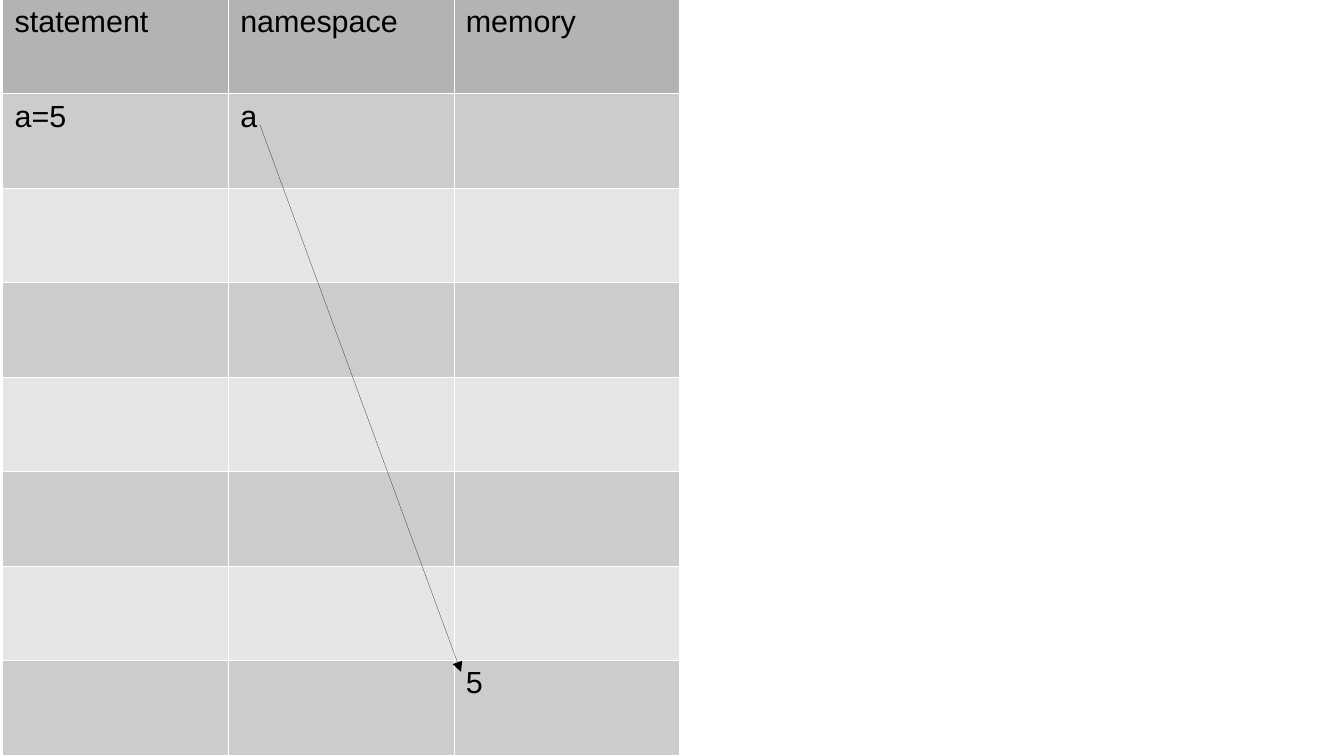
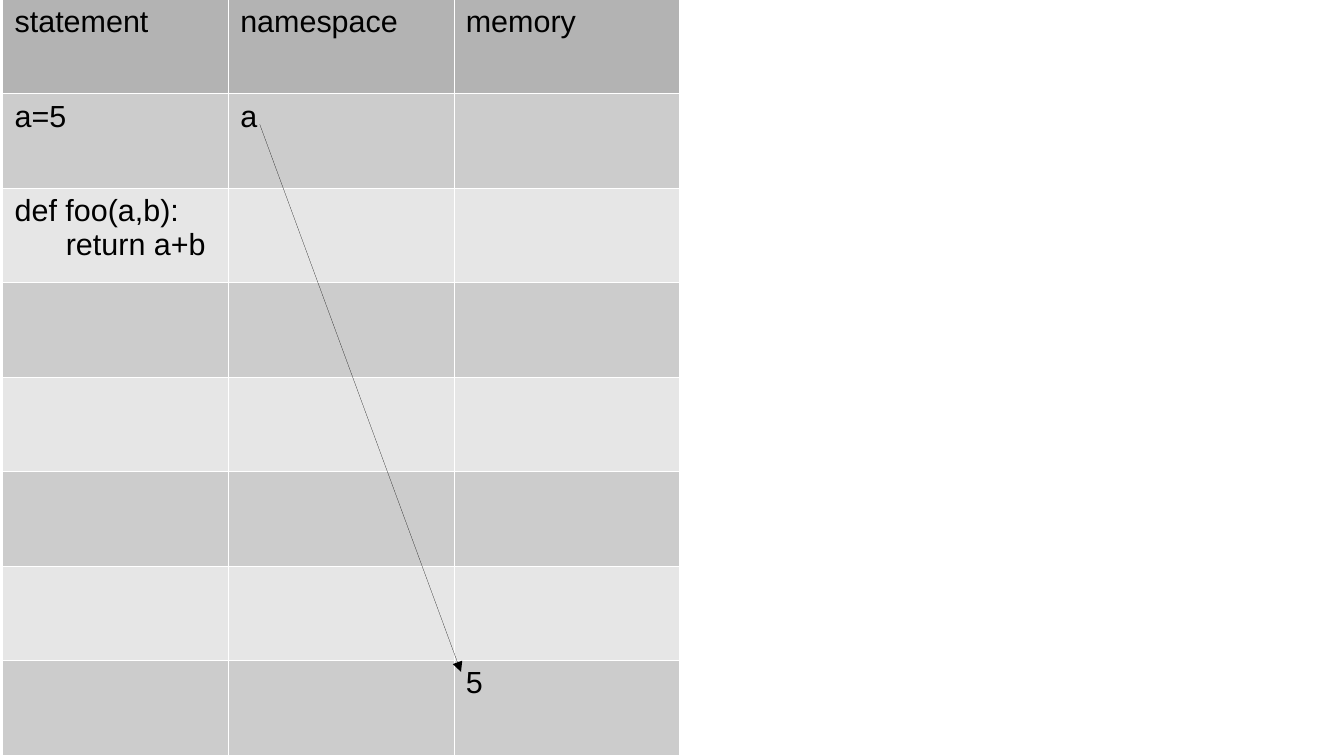
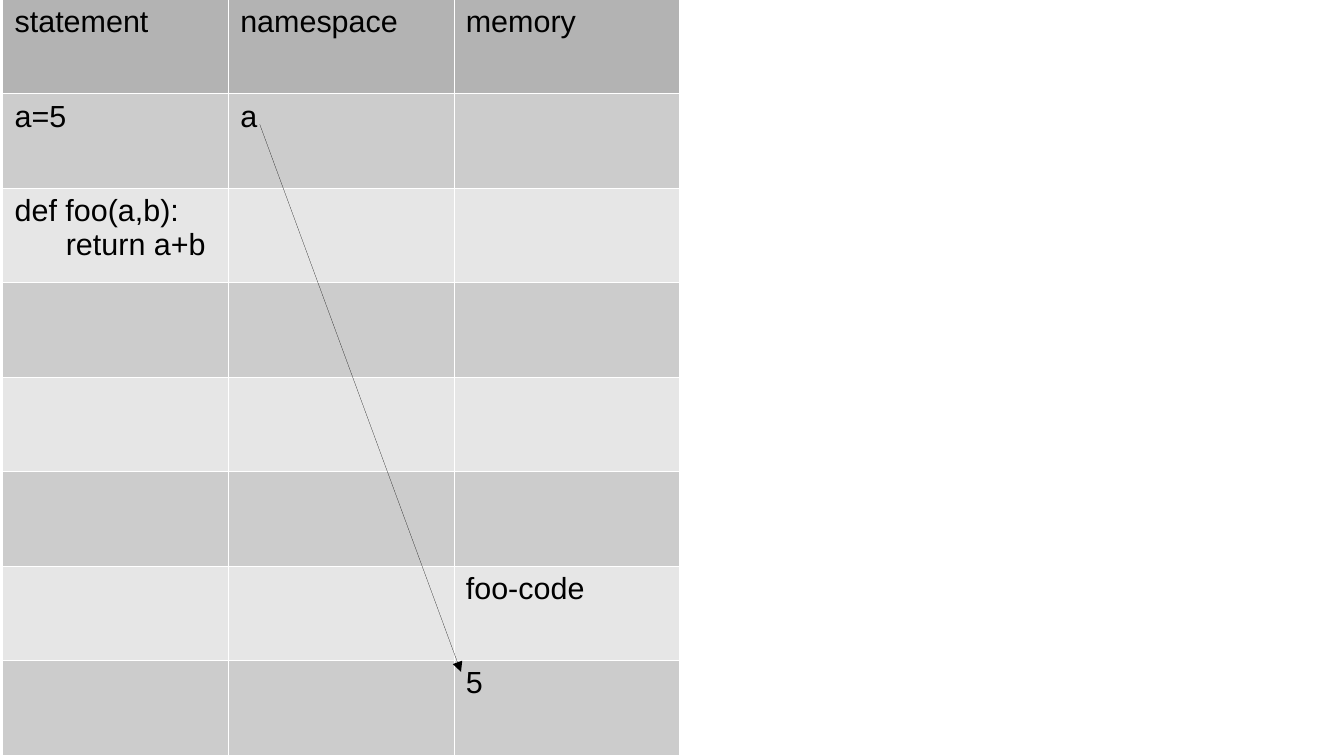
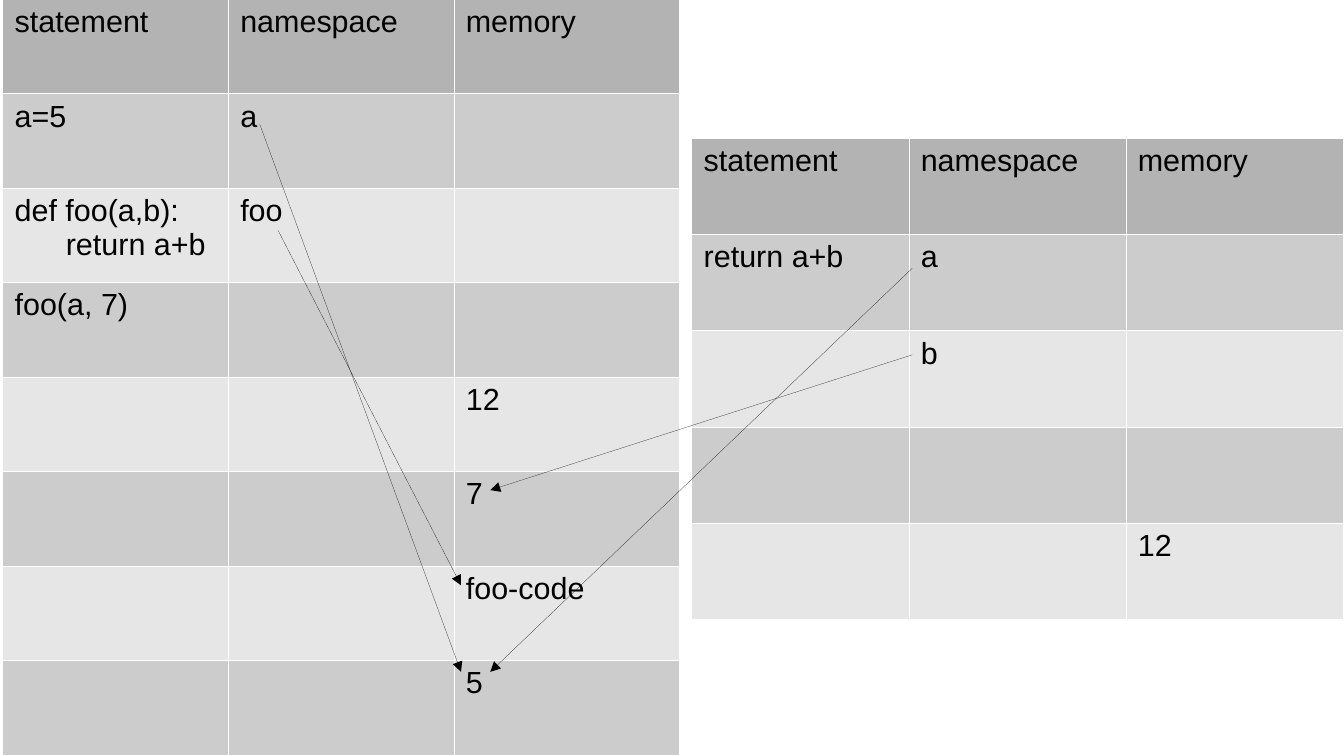
from pptx import Presentation
from pptx.dml.color import RGBColor
from pptx.enum.shapes import MSO_CONNECTOR
from pptx.oxml.ns import qn
from pptx.util import Inches, Pt
from lxml.etree import SubElement

BLACK = RGBColor(0x00, 0x00, 0x00)
HEADER_GRAY = RGBColor(0xB3, 0xB3, 0xB3)
BAND_GRAYS = (RGBColor(0xE6, 0xE6, 0xE6), RGBColor(0xCC, 0xCC, 0xCC))
BORDER_HEX = "FFFFFF"
BORDER_WIDTH = Pt(0.06)
FONT = "Arial"
TEXT_SIZE = Pt(18)
CODE_INDENT = Inches(0.42)
HEADINGS = ("statement", "namespace", "memory")
STATEMENT, NAMESPACE, MEMORY = range(3)


class TraceDeck:
    def __init__(self, width, height):
        self.presentation = Presentation()
        self.presentation.slide_width = Inches(width)
        self.presentation.slide_height = Inches(height)
        self.slide = None

    def new_slide(self):
        self.slide = self.presentation.slides.add_slide(self.presentation.slide_layouts[6])

    def trace_table(self, left, top, column_width, row_height, row_count, entries):
        column_count = len(HEADINGS)
        table = self.slide.shapes.add_table(
            row_count, column_count, Inches(left), Inches(top),
            Inches(column_width * column_count), Inches(row_height * row_count),
        ).table
        table.first_row = False
        table.horz_banding = False
        for column in table.columns:
            column.width = Inches(column_width)
        for row in table.rows:
            row.height = Inches(row_height)
        texts = {(0, index): heading for index, heading in enumerate(HEADINGS)} | entries
        for row in range(row_count):
            fill = BAND_GRAYS[row % 2] if row else HEADER_GRAY
            for column in range(column_count):
                self.fill_cell(table.cell(row, column), texts.get((row, column), ""), fill)

    def fill_cell(self, cell, text, color):
        properties = cell._tc.get_or_add_tcPr()
        for side in ("lnL", "lnR", "lnT", "lnB"):
            border = SubElement(properties, qn(f"a:{side}"), w=str(int(BORDER_WIDTH)))
            SubElement(SubElement(border, qn("a:solidFill")), qn("a:srgbClr"), val=BORDER_HEX)
        cell.fill.solid()
        cell.fill.fore_color.rgb = color
        cell.text_frame.text = text
        for line_number, paragraph in enumerate(cell.text_frame.paragraphs):
            paragraph.font.size = TEXT_SIZE
            if line_number:
                paragraph._p.get_or_add_pPr().set("marL", str(int(CODE_INDENT)))
            for run in paragraph.runs:
                run.font.name = FONT
                run.font.size = TEXT_SIZE
                run.font.bold = False
                run.font.color.rgb = BLACK

    def arrow(self, start, end):
        reference = self.slide.shapes.add_connector(
            MSO_CONNECTOR.STRAIGHT, *(Inches(length) for length in (*start, *end)))
        reference.line.color.rgb = BLACK
        outline = reference.line._get_or_add_ln()
        outline.set("w", "0")
        SubElement(outline, qn("a:tailEnd"), type="triangle")
        SubElement(reference._element.spPr, qn("a:effectLst"))

    def save(self):
        self.presentation.save("out.pptx")


def main():
    deck = TraceDeck(11.02, 6.2)
    steps = (
        {(1, STATEMENT): "a=5", (1, NAMESPACE): "a", (7, MEMORY): "5"},
        {(2, STATEMENT): "def foo(a,b):\nreturn a+b"},
        {(6, MEMORY): "foo-code"},
        {(2, NAMESPACE): "foo", (3, STATEMENT): "foo(a, 7)",
         (4, MEMORY): "12", (5, MEMORY): "7"},
    )
    global_scope = {}
    for step in steps:
        global_scope |= step
        deck.new_slide()
        deck.trace_table(0.02, -0.01, 1.85, 0.775, 8, global_scope)
        deck.arrow((2.13, 1.02), (3.78, 5.51))

    call_scope = {(1, STATEMENT): "return a+b", (1, NAMESPACE): "a",
                  (2, NAMESPACE): "b", (4, MEMORY): "12"}
    deck.arrow((2.28, 1.89), (3.78, 4.8))
    deck.trace_table(5.67, 1.13, 1.78, 0.79, 5, call_scope)
    deck.arrow((7.48, 2.2), (4.02, 5.51))
    deck.arrow((7.48, 2.91), (4.02, 4.02))
    deck.save()


if __name__ == "__main__":
    main()
